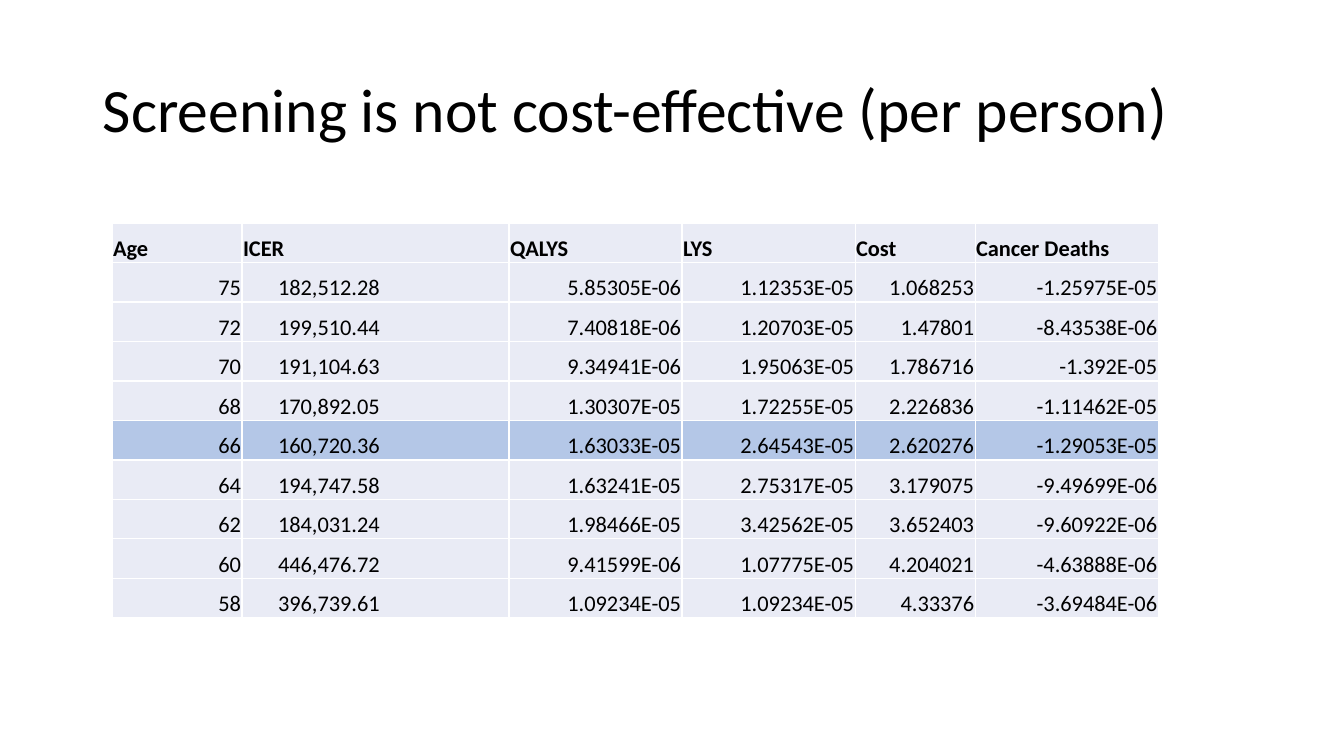
from dataclasses import dataclass

from lxml import etree
from pptx import Presentation
from pptx import util as u
from pptx.dml.color import RGBColor
from pptx.enum import text
from pptx.oxml import ns


@dataclass(frozen=True)
class Theme:
    font: str = "Calibri"
    ink: str = "000000"
    border: str = "FFFFFF"
    row: str = "E9EBF5"
    highlight: str = "B4C7E7"
    title_size: int = 44
    table_size: int = 16
    border_width: int = 1


THEME = Theme()
EMU_PER_PIXEL = 914400 / 100.8

HEADERS = ["Age", "ICER", "QALYS", "LYS", "Cost", "Cancer Deaths"]
RESULTS = [
    ["75", "182,512.28", "5.85305E-06", "1.12353E-05", "1.068253", "-1.25975E-05"],
    ["72", "199,510.44", "7.40818E-06", "1.20703E-05", "1.47801", "-8.43538E-06"],
    ["70", "191,104.63", "9.34941E-06", "1.95063E-05", "1.786716", "-1.392E-05"],
    ["68", "170,892.05", "1.30307E-05", "1.72255E-05", "2.226836", "-1.11462E-05"],
    ["66", "160,720.36", "1.63033E-05", "2.64543E-05", "2.620276", "-1.29053E-05"],
    ["64", "194,747.58", "1.63241E-05", "2.75317E-05", "3.179075", "-9.49699E-06"],
    ["62", "184,031.24", "1.98466E-05", "3.42562E-05", "3.652403", "-9.60922E-06"],
    ["60", "446,476.72", "9.41599E-06", "1.07775E-05", "4.204021", "-4.63888E-06"],
    ["58", "396,739.61", "1.09234E-05", "1.09234E-05", "4.33376", "-3.69484E-06"],
]
COLUMN_WIDTHS = [130, 267, 173, 173, 120, 183]
ICER_COLUMN = HEADERS.index("ICER")
HIGHLIGHTED_AGE = "66"


def px(pixels):
    return u.Emu(round(pixels * EMU_PER_PIXEL))


def set_attributes(target, values):
    for name, value in values.items():
        setattr(target, name, value)


def write_text(paragraph, wording, size, bold=False):
    run = paragraph.add_run()
    run.text = wording
    set_attributes(run.font, {"name": THEME.font, "size": u.Pt(size), "bold": bold})
    run.font.color.rgb = RGBColor.from_string(THEME.ink)


def add_title(slide, wording):
    frame = slide.shapes.add_textbox(px(93), px(40), px(1159), px(146)).text_frame
    set_attributes(frame, {"word_wrap": True, "vertical_anchor": text.MSO_ANCHOR.MIDDLE})
    paragraph = frame.paragraphs[0]
    paragraph.line_spacing = 0.9
    write_text(paragraph, wording, THEME.title_size)


def add_borders(cell):
    properties = cell._tc.get_or_add_tcPr()
    for position, side in enumerate(["lnL", "lnR", "lnT", "lnB"]):
        line = etree.Element(ns.qn(f"a:{side}"), w=str(u.Pt(THEME.border_width)))
        fill = etree.SubElement(line, ns.qn("a:solidFill"))
        etree.SubElement(fill, ns.qn("a:srgbClr"), val=THEME.border)
        properties.insert(position, line)


def fill_cell(cell, wording, color, bold=False, align=text.PP_ALIGN.LEFT, indent=1):
    set_attributes(cell, {
        "margin_left": px(indent),
        "margin_top": px(1),
        "margin_right": px(1),
        "margin_bottom": 0,
        "vertical_anchor": text.MSO_ANCHOR.BOTTOM,
    })
    cell.fill.solid()
    cell.fill.fore_color.rgb = RGBColor.from_string(color)
    add_borders(cell)
    paragraph = cell.text_frame.paragraphs[0]
    paragraph.alignment = align
    write_text(paragraph, wording, THEME.table_size, bold)


def add_results_table(slide):
    table = slide.shapes.add_table(
        len(RESULTS) + 1, len(HEADERS), px(112), px(223), px(sum(COLUMN_WIDTHS)), px(395)
    ).table
    for column, width in zip(table.columns, COLUMN_WIDTHS):
        column.width = px(width)
    for column, header in enumerate(HEADERS):
        fill_cell(table.cell(0, column), header, THEME.row, bold=True)
    for row, values in enumerate(RESULTS, start=1):
        color = THEME.highlight if values[0] == HIGHLIGHTED_AGE else THEME.row
        for column, value in enumerate(values):
            layout = {"indent": 36} if column == ICER_COLUMN else {"align": text.PP_ALIGN.RIGHT}
            fill_cell(table.cell(row, column), value, color, **layout)


def main():
    presentation = Presentation()
    set_attributes(presentation, {"slide_width": u.Inches(13.33), "slide_height": u.Inches(7.5)})
    slide = presentation.slides.add_slide(presentation.slide_layouts[6])
    add_title(slide, "Screening is not cost-effective (per person)")
    add_results_table(slide)
    presentation.save("out.pptx")


main()
